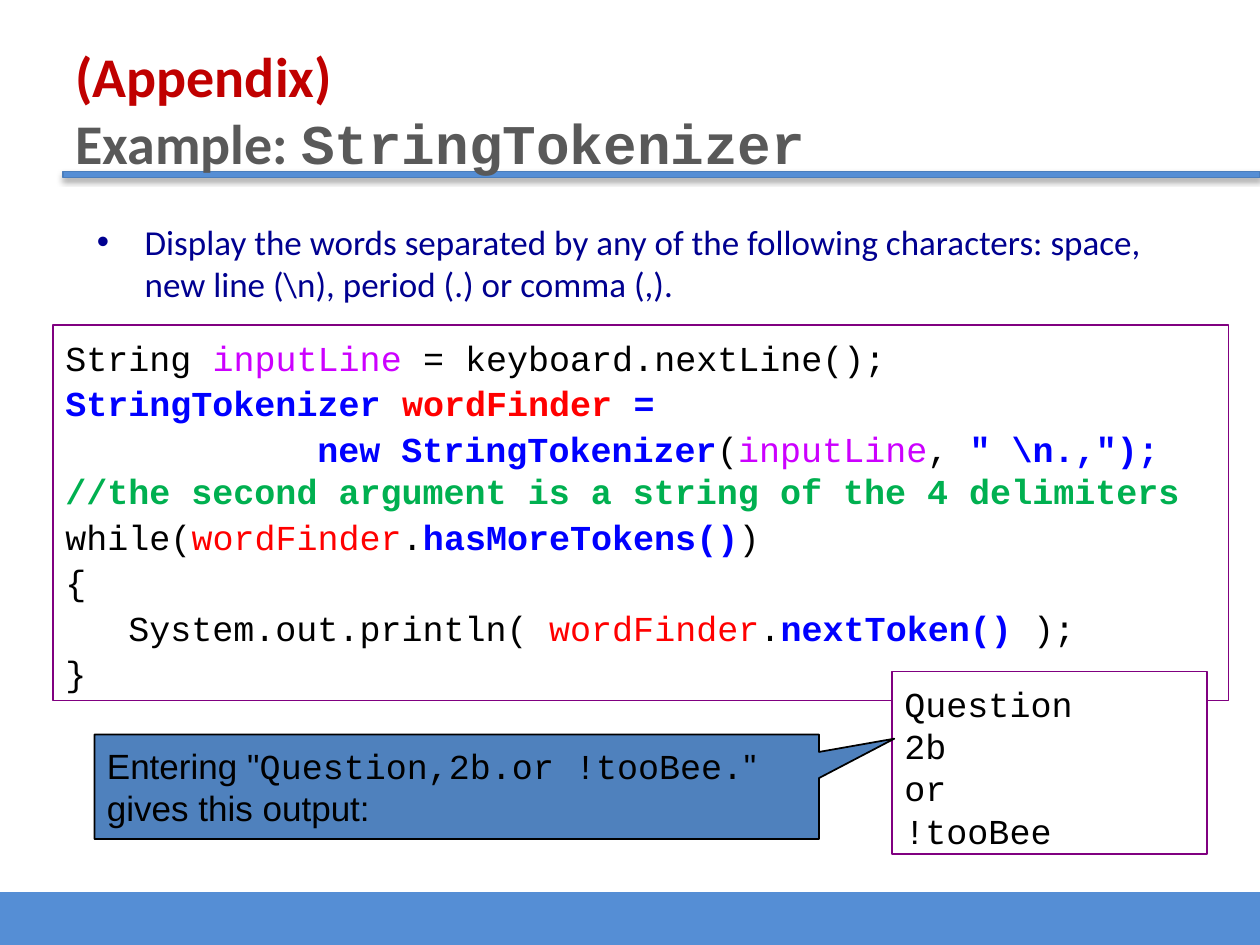
from lxml.etree import SubElement
from pptx import Presentation
from pptx.dml.color import RGBColor
from pptx.enum.shapes import MSO_SHAPE
from pptx.enum.text import MSO_ANCHOR
from pptx.oxml.ns import qn
from pptx.util import Inches, Pt

WHITE = RGBColor(0xFF, 0xFF, 0xFF)
BLACK = RGBColor(0x00, 0x00, 0x00)
BAND = RGBColor(0x55, 0x8E, 0xD5)
BAND_EDGE = RGBColor(0x4B, 0x7E, 0xBC)
CALLOUT = RGBColor(0x4F, 0x81, 0xBD)
PURPLE = RGBColor(0x80, 0x00, 0x80)
DARK_RED = RGBColor(0xC0, 0x00, 0x00)
GRAY = RGBColor(0x59, 0x59, 0x59)
NAVY = RGBColor(0x00, 0x00, 0x90)
MAGENTA = RGBColor(0xCC, 0x00, 0xFF)
BLUE = RGBColor(0x00, 0x00, 0xFF)
RED = RGBColor(0xFF, 0x00, 0x00)
GREEN = RGBColor(0x00, 0xB0, 0x50)

HEADING, MONO, SANS = "Calibri", "Courier New", "Arial"
CODE_CHAR = 12 / 72  # width in inches of one 20 pt code character


def style(color, name=MONO, size=20, bold=False):
    return {"color": color, "name": name, "size": Pt(size), "bold": bold}


PLAIN = style(BLACK)
ARGUMENT = style(MAGENTA)
VARIABLE = style(RED)
KEYWORD = style(BLUE, bold=True)
DECLARED = style(RED, bold=True)
COMMENT = style(GREEN, bold=True)
PROSE = style(BLACK, SANS)


class SlideBuilder:
    spaced = {"line_spacing": Pt(24), "space_after": Pt(2)}

    def __init__(self, slide):
        self.slide = slide

    def box(self, at, fill, line=None, width=1, preset=MSO_SHAPE.RECTANGLE):
        shape = self.slide.shapes.add_shape(preset, *map(Inches, at))
        shape.shadow.inherit = False
        shape.fill.solid()
        shape.fill.fore_color.rgb = fill
        if line is None:
            shape.line.fill.background()
        else:
            shape.line.color.rgb = line
            shape.line.width = Pt(width)
        return shape

    def textbox(self, at, paragraphs, top=0.05):
        shape = self.slide.shapes.add_textbox(*map(Inches, at))
        self.fill_text(shape, paragraphs, {}, top)
        return shape

    def fill_text(self, shape, paragraphs, spacing, top=0.05, anchor=MSO_ANCHOR.TOP):
        frame = shape.text_frame
        frame.word_wrap = True
        frame.vertical_anchor = anchor
        frame.margin_top = Inches(top)
        for index, (indent, runs) in enumerate(paragraphs):
            paragraph = frame.add_paragraph() if index else frame.paragraphs[0]
            for attribute, value in spacing.items():
                setattr(paragraph, attribute, value)
            properties = paragraph._p.get_or_add_pPr()
            properties.set("algn", "l")
            properties.set("indent", str(Inches(indent)))
            for text, look in runs:
                self.add_runs(paragraph, text, look)

    def add_runs(self, paragraph, text, look):
        for index, piece in enumerate(text.split("\n")):
            if index:
                paragraph.add_line_break()
            if piece:
                run = paragraph.add_run()
                run.text = piece
                for attribute, value in look.items():
                    if attribute == "color":
                        run.font.color.rgb = value
                    else:
                        setattr(run.font, attribute, value)

    def bullet(self, shape, hang):
        for paragraph in shape.text_frame.paragraphs:
            properties = paragraph._p.get_or_add_pPr()
            properties.set("marL", str(Inches(hang)))
            properties.set("indent", str(-Inches(hang)))
            SubElement(properties, qn("a:buFont"), typeface=SANS)
            SubElement(properties, qn("a:buChar"), char="•")

    def drop_shadow(self, shape, blur, distance, alpha):
        effects = shape._element.spPr.find(qn("a:effectLst"))
        shadow = SubElement(effects, qn("a:outerShdw"), blurRad=str(Pt(blur)),
                            dist=str(Pt(distance)), dir="5400000", rotWithShape="0")
        color = SubElement(shadow, qn("a:srgbClr"), val=str(BLACK))
        SubElement(color, qn("a:alpha"), val=str(alpha * 1000))


def main():
    deck = Presentation()
    deck.slide_width, deck.slide_height = Inches(10), Inches(7.5)
    builder = SlideBuilder(deck.slides.add_slide(deck.slide_layouts[6]))

    # Footer band and title rule
    builder.box((0, 7.08, 10, 0.42), BAND)
    title_rule = builder.box((0.5, 1.36, 9.5, 0.05), BAND, BAND_EDGE, 0.75)
    builder.drop_shadow(title_rule, 3.1, 1.8, 35)

    # Title
    builder.textbox((0.5, 0.23, 9, 0.98), [(0, [
        ("(Appendix) \n", style(DARK_RED, HEADING, 32, True)),
        ("Example: ", style(GRAY, HEADING, 32, True)),
        ("StringTokenizer", style(GRAY, MONO, 32, True)),
    ])], top=0.1)

    # Task
    task = builder.textbox((0.67, 1.7, 8.5, 5.08), [(0, [
        ("Display the words separated by any of the following characters: "
         "space, new line (\\n), period (.) or comma (,).", style(NAVY, HEADING)),
    ])])
    builder.bullet(task, 0.38)

    # Code listing: first-line indent, then coloured runs
    listing = [
        (0, [("String ", PLAIN), ("inputLine ", ARGUMENT),
             ("= keyboard.nextLine();", PLAIN)]),
        (0, [("StringTokenizer ", KEYWORD), ("wordFinder ", DECLARED),
             ("=", KEYWORD)]),
        (12 * CODE_CHAR, [("new StringTokenizer", KEYWORD), ("(", PLAIN),
                          ("inputLine", ARGUMENT), (", ", PLAIN),
                          ("\" \\n.,\");\n", KEYWORD),
                          ("//the second argument is a string of the 4 delimiters",
                           COMMENT)]),
        (0, [("while(", PLAIN), ("wordFinder", VARIABLE), (".", PLAIN),
             ("hasMoreTokens()", KEYWORD), (")", PLAIN)]),
        (0, [("{", PLAIN)]),
        (3 * CODE_CHAR, [("System.out.println( ", PLAIN), ("wordFinder", VARIABLE),
                         (".", PLAIN), ("nextToken()", KEYWORD), (" );", PLAIN)]),
        (0, [("}", PLAIN)]),
    ]
    code = builder.box((0.42, 2.58, 9.33, 2.98), WHITE, PURPLE)
    builder.fill_text(code, listing, builder.spaced, top=0.09)

    # Program output
    output = builder.box((7.08, 5.33, 2.5, 1.45), WHITE, PURPLE)
    builder.fill_text(output, [(0, [("Question\n2b\nor\n!tooBee", PLAIN)])],
                      builder.spaced, top=0.09)

    # Callout pointing at the output
    entry = builder.box((0.75, 5.83, 5.75, 0.83), CALLOUT, BLACK,
                        preset=MSO_SHAPE.RECTANGULAR_CALLOUT)
    entry.adjustments[0], entry.adjustments[1] = 0.604, -0.46
    builder.fill_text(entry, [(0, [
        ("Entering \"", PROSE), ("Question,2b.or !tooBee.", PLAIN),
        ("\" gives this output:", PROSE),
    ])], builder.spaced, anchor=MSO_ANCHOR.MIDDLE)

    deck.save("out.pptx")


if __name__ == "__main__":
    main()
